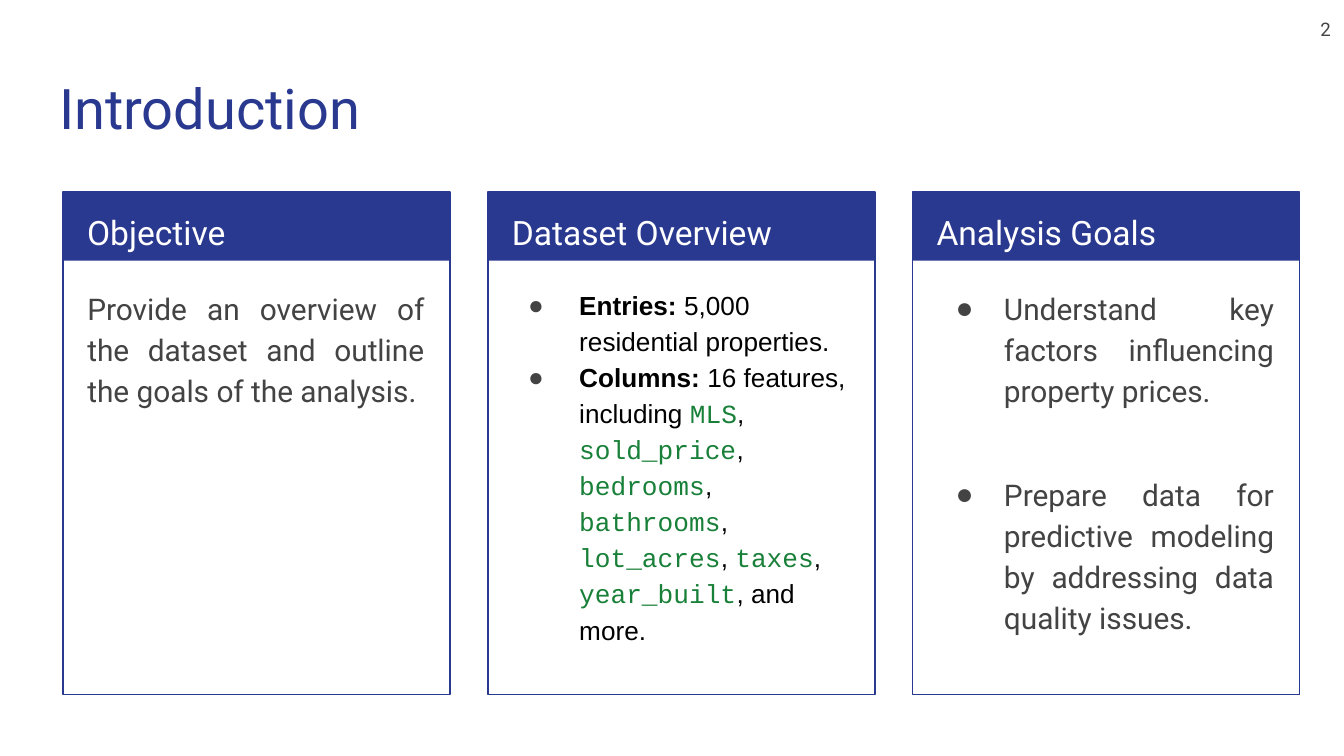
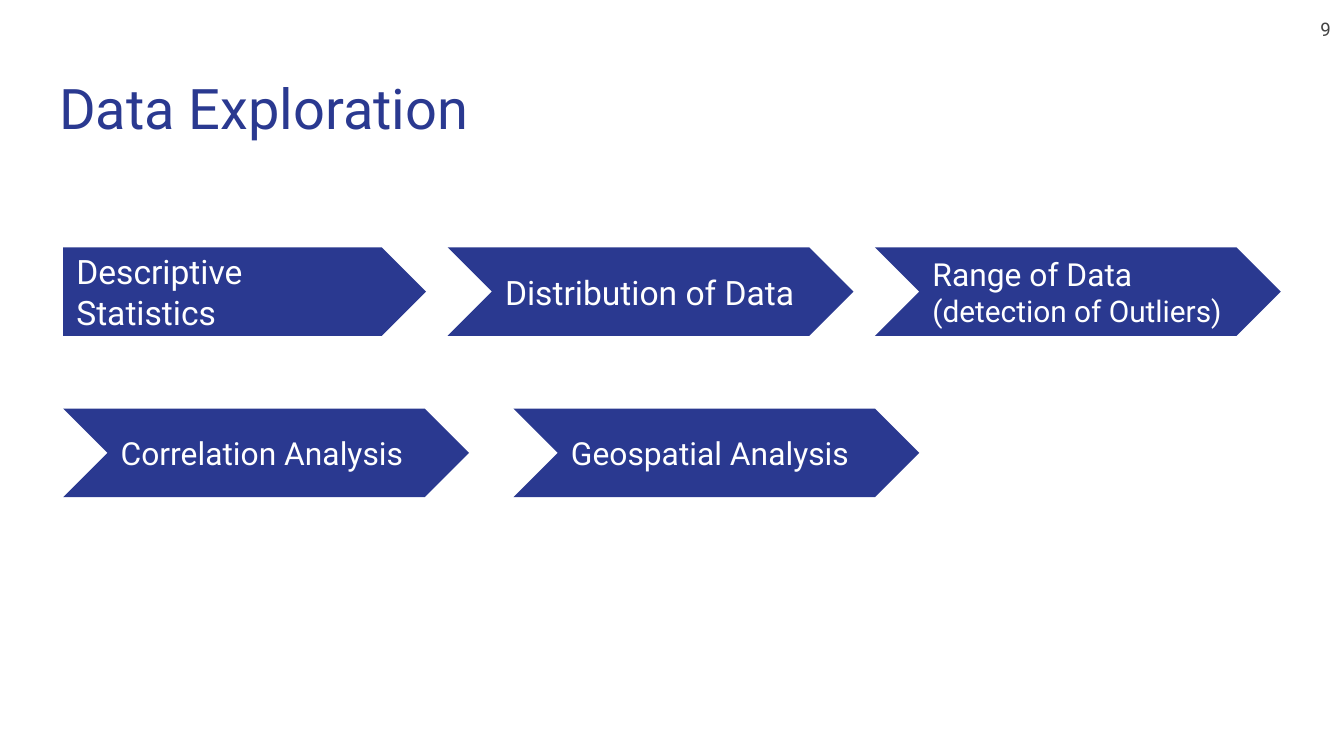
from lxml import etree
from pptx import Presentation
from pptx import util as u
from pptx.dml.color import RGBColor
from pptx.enum import shapes, text
from pptx.oxml import ns

NAVY, GREY, WHITE, BLACK, GREEN = "2A3990", "434343", "FFFFFF", "000000", "188038"
TITLE_ONLY, COMPARISON = 5, 4
HEADING = {"size": 18, "color": WHITE}
BODY = {"size": 16, "color": GREY}
DETAIL = {"size": 14, "color": BLACK, "name": "Arial"}
STRONG = {**DETAIL, "bold": True}
CODE = {**DETAIL, "color": GREEN, "name": "Courier New"}


def paint(color, value):
    color.rgb = RGBColor.from_string(value)


def apply(target, values):
    for name, value in values.items():
        setattr(target, name, value)


class Slides:
    font = "Roboto"
    margin = 0.47

    def __init__(self):
        self.deck = Presentation()
        self.deck.slide_width = u.Inches(10)
        self.deck.slide_height = u.Inches(10 * 9 / 16)
        self.page = None

    def start(self, layout, title, number):
        self.page = self.deck.slides.add_slide(self.deck.slide_layouts[layout])
        fill = self.page.background.fill
        fill.solid()
        paint(fill.fore_color, WHITE)
        self.fill_box(self.page.shapes.title, (0.34, 0.45, 9.32, 0.66),
                      [[(title, {"size": 30, "color": NAVY})]])
        self.label((9.4, 0, 0.6, 0.43), [(number, {"size": 10, "color": GREY})],
                   middle=True, align=text.PP_ALIGN.RIGHT)

    def shape(self, owner, kind, area, fill=None, line=None):
        shape = owner.add_shape(kind, *map(u.Inches, area))
        shape.shadow.inherit = False
        if fill:
            shape.fill.solid()
            paint(shape.fill.fore_color, fill)
        else:
            shape.fill.background()
        if line:
            paint(shape.line.color, line)
            shape.line.width = u.Pt(0.75)
        else:
            shape.line.fill.background()

    def label(self, area, spans, **style):
        box = self.page.shapes.add_textbox(*map(u.Inches, area))
        self.fill_box(box, area, [spans], **style)

    def fill_box(self, box, area, paragraphs, middle=False, align=text.PP_ALIGN.LEFT,
                 spacing=1.0, gap=0, hang=None):
        apply(box, dict(zip(("left", "top", "width", "height"), map(u.Inches, area))))
        frame = box.text_frame
        anchor = text.MSO_ANCHOR.MIDDLE if middle else text.MSO_ANCHOR.TOP
        apply(frame, {"word_wrap": True, "auto_size": text.MSO_AUTO_SIZE.NONE,
                      "vertical_anchor": anchor})
        apply(frame, {f"margin_{side}": u.Inches(0.1)
                      for side in ("left", "top", "right", "bottom")})
        for index, spans in enumerate(paragraphs):
            para = frame.add_paragraph() if index else frame.paragraphs[0]
            apply(para, {"alignment": align, "line_spacing": spacing,
                         "space_before": u.Pt(gap if index else 0), "space_after": u.Pt(0)})
            self.bullet(para, hang)
            for words, style in spans:
                self.span(para, words, **style)

    def bullet(self, para, hang):
        props = para._p.get_or_add_pPr()
        props.set("marL", str(u.Inches(0.5 if hang else 0)))
        props.set("indent", str(-u.Inches(hang or 0)))
        if not hang:
            etree.SubElement(props, ns.qn("a:buNone"))
            return
        color = etree.SubElement(props, ns.qn("a:buClr"))
        etree.SubElement(color, ns.qn("a:srgbClr"), val=GREY)
        etree.SubElement(props, ns.qn("a:buFont"), typeface="Arial")
        etree.SubElement(props, ns.qn("a:buChar"), char="●")

    def span(self, para, words, size, color, name=None, bold=False):
        span = para.add_run()
        span.text = words
        apply(span.font, {"size": u.Pt(size), "name": name or self.font, "bold": bold})
        paint(span.font.color, color)

    def card(self, column, heading, body, paragraphs, **style):
        left, top, width = self.margin + 3.16 * column, 1.43, 2.88
        group = self.page.shapes.add_group_shape().shapes
        rectangle = shapes.MSO_SHAPE.RECTANGLE
        self.shape(group, rectangle, (left, top, width, 0.51), fill=NAVY)
        self.shape(group, rectangle, (left, top, width, 3.74), line=NAVY)
        self.label((left + 0.08, top, 2.73, 0.5), [(heading, HEADING)], spacing=1.15)
        self.fill_box(body, (left + 0.08, 2.02, 2.71, 3.06), paragraphs, spacing=1.15, **style)

    def step(self, left, top, spans, first=False):
        kind = shapes.MSO_SHAPE.PENTAGON if first else shapes.MSO_SHAPE.CHEVRON
        self.shape(self.page.shapes, kind, (left, top, 2.7 if first else 3.02, 0.66), fill=NAVY)
        inset = 0 if first else 0.33
        self.label((left + inset, top + 0.16, 2.47, 0.34), spans, middle=True)


def introduction(slides):
    slides.start(COMPARISON, "Introduction", "2")
    objective, dataset, goals, spare = list(slides.page.placeholders)[1:]
    spare.element.getparent().remove(spare.element)
    slides.card(0, "Objective", objective, [
        [("Provide an overview of the dataset and outline the goals of the analysis.", BODY)],
    ], align=text.PP_ALIGN.JUSTIFY)

    columns = [("Columns:", STRONG), (" 16 features, including ", DETAIL)]
    fields = ["MLS", "sold_price", "bedrooms", "bathrooms", "lot_acres", "taxes", "year_built"]
    for field in fields:
        ending = ", and more." if field == fields[-1] else ", "
        columns += [(field, CODE), (ending, DETAIL)]
    entries = [("Entries:", STRONG), (" 5,000 residential properties.", DETAIL)]
    slides.card(1, "Dataset Overview", dataset, [entries, columns], hang=0.38)

    slides.card(2, "Analysis Goals", goals, [
        [("Understand key factors influencing property prices.", BODY)],
        [("Prepare data for predictive modeling by addressing data quality issues.", BODY)],
    ], align=text.PP_ALIGN.JUSTIFY, gap=33.5, hang=0.36)


def exploration(slides):
    slides.start(TITLE_ONLY, "Data Exploration", "9")
    smaller = {**HEADING, "size": 17}
    rows = [
        (1.84, (0.47, 3.33, 6.51), [
            [("Descriptive Statistics", HEADING)],
            [("Distribution of Data", HEADING)],
            [("Range of Data ", smaller), ("(detection of Outliers)", BODY | {"color": WHITE})],
        ]),
        (3.04, (0.47, 3.82), [
            [("Correlation Analysis", smaller)],
            [("Geospatial Analysis", smaller)],
        ]),
    ]
    for row, (top, lefts, labels) in enumerate(rows):
        for column, (left, spans) in enumerate(zip(lefts, labels)):
            slides.step(left, top, spans, first=row == column == 0)


def main():
    slides = Slides()
    introduction(slides)
    exploration(slides)
    slides.deck.save("out.pptx")


if __name__ == "__main__":
    main()
